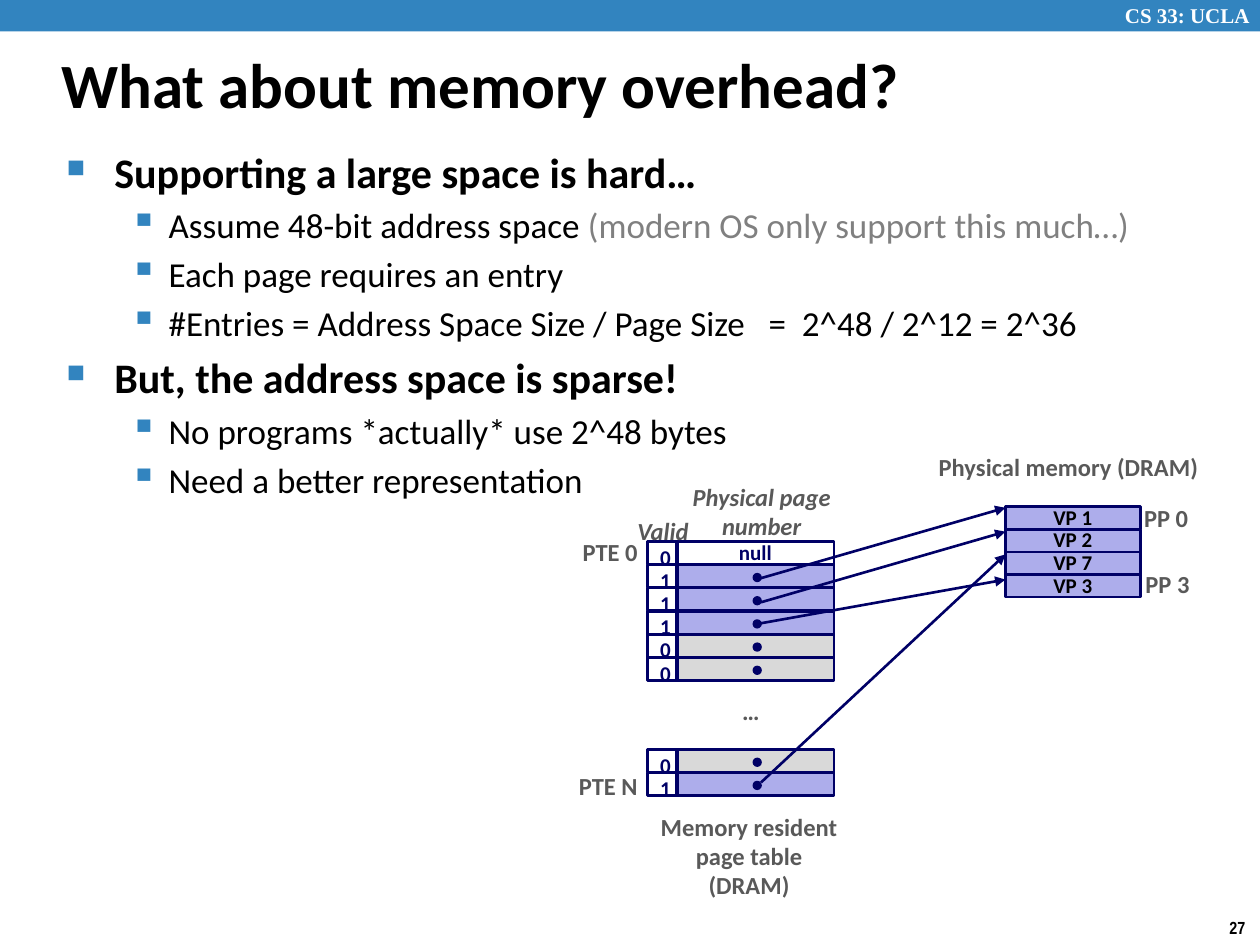
from dataclasses import dataclass

from lxml.etree import SubElement
from pptx import Presentation
from pptx.dml.color import RGBColor
from pptx.enum.shapes import MSO_CONNECTOR, MSO_SHAPE
from pptx.enum.text import MSO_ANCHOR as ANCHOR, PP_ALIGN as ALIGN
from pptx.oxml.ns import qn
from pptx.slide import Slide
from pptx.util import Inches, Pt

BLUE, NAVY, LILAC, SILVER = "3284BF", "000066", "ADADEB", "D9D9D9"
BLACK, WHITE, GRAY, LABEL = "000000", "FFFFFF", "808080", "595959"
ROW_HEIGHT, ROW_PITCH = 0.18, 0.92 / 5


def colour(value):
    return RGBColor.from_string(value)


def add_text(paragraph, text, size=14, color=LABEL, bold=True, italic=False, font="Calibri"):
    run = paragraph.add_run()
    run.text = text
    run.font.name, run.font.size = font, Pt(size)
    run.font.bold, run.font.italic = bold, italic
    run.font.color.rgb = colour(color)


@dataclass
class Diagram:
    """Draws the elements of one slide in a shared style."""

    slide: Slide
    line_color: str = NAVY
    line_width: float = 1.5

    def text(self, lines, left, top, width, height, align=ALIGN.LEFT,
             anchor=ANCHOR.TOP, wrap=False, spacing=0.98, **style):
        box = self.slide.shapes.add_textbox(*map(Inches, (left, top, width, height)))
        self.fill_frame(box.text_frame, lines, align, anchor, wrap, spacing, **style)

    def fill_frame(self, frame, lines, align, anchor, wrap, spacing, **style):
        frame.word_wrap, frame.vertical_anchor = wrap, anchor
        for index, line in enumerate(lines.split("\n")):
            paragraph = frame.add_paragraph() if index else frame.paragraphs[0]
            paragraph.alignment, paragraph.line_spacing = align, spacing
            add_text(paragraph, line, **style)

    def shape(self, left, top, width, height, fill=None, kind=MSO_SHAPE.RECTANGLE,
              line_width=None, text=None, color=BLACK):
        shape = self.slide.shapes.add_shape(kind, *map(Inches, (left, top, width, height)))
        shape.shadow.inherit = False
        if fill:
            shape.fill.solid()
            shape.fill.fore_color.rgb = colour(fill)
        else:
            shape.fill.background()
        if line_width == 0:
            shape.line.fill.background()
        else:
            shape.line.color.rgb = colour(self.line_color)
            shape.line.width = Pt(line_width or self.line_width)
        if text:
            self.fill_frame(shape.text_frame, text, ALIGN.CENTER, ANCHOR.MIDDLE,
                            False, 0.98, size=12, color=color)

    def arrow(self, start, end):
        connector = self.slide.shapes.add_connector(
            MSO_CONNECTOR.STRAIGHT, *map(Inches, (*start, *end)))
        connector.line.color.rgb = colour(self.line_color)
        connector.line.width = Pt(self.line_width)
        SubElement(connector.line._get_or_add_ln(), qn("a:tailEnd"), type="triangle")
        SubElement(connector._element.spPr, qn("a:effectLst"))

    def outline(self, items, left, top, width, height):
        box = self.slide.shapes.add_textbox(*map(Inches, (left, top, width, height)))
        frame = box.text_frame
        frame.word_wrap = True
        for index, (level, *runs) in enumerate(items):
            paragraph = frame.add_paragraph() if index else frame.paragraphs[0]
            size, margin, indent, mark, scale = (
                (20, 0.81, -0.31, "▪", 110) if level else (24, 0.38, -0.38, "■", 60))
            paragraph.level = level
            paragraph.space_before = Pt(size * 0.2 if index else 0)
            properties = paragraph._p.get_or_add_pPr()
            properties.set("marL", str(Inches(margin)))
            properties.set("indent", str(Inches(indent)))
            bullet_color = SubElement(properties, qn("a:buClr"))
            SubElement(bullet_color, qn("a:srgbClr"), val=BLUE)
            SubElement(properties, qn("a:buSzPct"), val=str(scale * 1000))
            SubElement(properties, qn("a:buChar"), char=mark)
            for text, color in zip(runs, (BLACK, GRAY)):
                add_text(paragraph, text, size=size, color=color, bold=level == 0)

    def page_entry(self, top, valid, fill, text=None):
        self.shape(5.37, top, 1.25, ROW_HEIGHT, fill, text=text, color=NAVY)
        self.shape(5.14, top, 0.24, ROW_HEIGHT)
        self.text(valid, 5.14, top - 0.02, 0.28, 0.3, size=12, color=NAVY)
        if not text:
            self.shape(5.98, top + 0.07, 0.06, 0.06, NAVY, MSO_SHAPE.OVAL, line_width=1)


def main():
    presentation = Presentation()
    presentation.slide_width, presentation.slide_height = Inches(10), Inches(7.5)
    diagram = Diagram(presentation.slides.add_slide(presentation.slide_layouts[6]))

    diagram.shape(0, 0, 10, 0.25, BLUE, line_width=0)
    diagram.text("CS 33: UCLA", 8.83, -0.03, 1.24, 0.3, spacing=1, wrap=True,
                 size=12, color=WHITE, font="Times New Roman")
    diagram.text("27", 9.66, 7.23, 0.34, 0.27, spacing=1, size=10, color=BLACK,
                 font="Arial Narrow")
    diagram.text("What about memory overhead?", 0.39, 0.25, 8.3, 0.83, spacing=1,
                 anchor=ANCHOR.MIDDLE, wrap=True, size=36, color=BLACK)
    diagram.outline([
        (0, "Supporting a large space is hard…"),
        (1, "Assume 48-bit address space ", "(modern OS only support this much…)"),
        (1, "Each page requires an entry"),
        (1, "#Entries = Address Space Size / Page Size   =  2^48 / 2^12 = 2^36"),
        (0, "But, the address space is sparse!"),
        (1, "No programs *actually* use 2^48 bytes"),
        (1, "Need a better representation"),
    ], 0.43, 1.11, 9.1, 2.93)

    first_entries = [("0", WHITE, "null"), ("1", LILAC), ("1", LILAC), ("1", LILAC),
                     ("0", SILVER), ("0", SILVER)]
    last_entries = [("0", SILVER), ("1", LILAC)]
    for table_top, entries in ((4.3, first_entries), (5.95, last_entries)):
        for index, entry in enumerate(entries):
            diagram.page_entry(table_top + index * ROW_PITCH, *entry)
    for index, page in enumerate(("VP 1", "VP 2", "VP 7", "VP 3")):
        diagram.shape(7.98, 4.02 + index * ROW_HEIGHT, 1.07, ROW_HEIGHT, LILAC, text=page)

    for start, end_y in (((6, 4.6), 4.03), ((6.04, 4.78), 4.22),
                         ((6.02, 4.95), 4.6), ((6.04, 6.21), 4.4)):
        diagram.arrow(start, (7.98, end_y))

    diagram.text("Valid", 4.96, 4.06, 0.67, 0.33, wrap=True, italic=True)
    diagram.text("Physical page\nnumber", 5.14, 3.78, 1.81, 0.57, ALIGN.CENTER,
                 ANCHOR.MIDDLE, wrap=True, italic=True)
    diagram.text("Physical memory (DRAM)", 7.12, 3.55, 2.72, 0.33, ALIGN.CENTER, wrap=True)
    diagram.text("Memory resident\npage table\n(DRAM)", 5.14, 6.41, 1.61, 0.8, ALIGN.CENTER)
    diagram.text("…", 5.79, 5.49, 0.34, 0.33, ALIGN.CENTER)
    for label, left, top, width, align in (
            ("PTE 0", 4.52, 4.22, 0.64, ALIGN.RIGHT), ("PTE N", 4.49, 6.08, 0.67, ALIGN.RIGHT),
            ("PP 0", 8.98, 3.95, 0.55, ALIGN.CENTER), ("PP 3", 8.99, 4.48, 0.55, ALIGN.CENTER)):
        diagram.text(label, left, top, width, 0.33, align, ANCHOR.MIDDLE)

    presentation.save("out.pptx")


if __name__ == "__main__":
    main()
